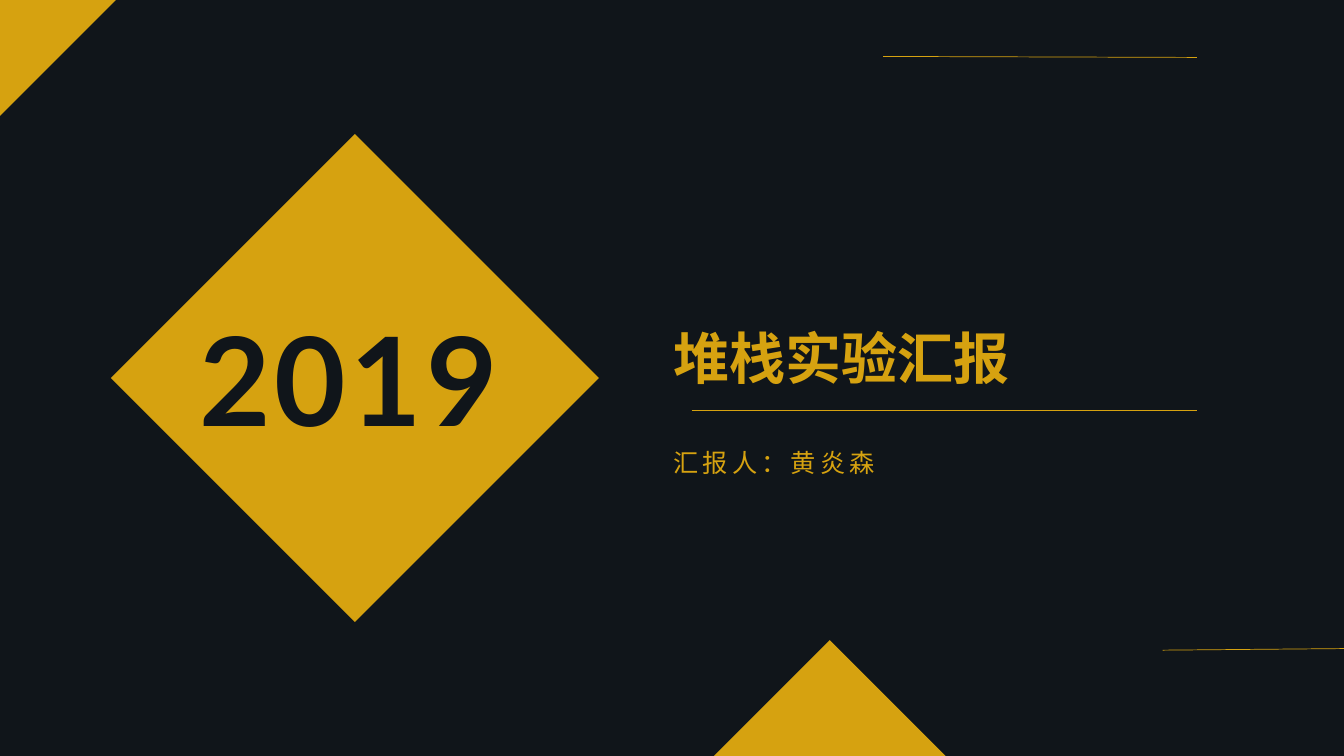
from dataclasses import dataclass

from lxml import etree
from pptx import Presentation
from pptx.dml.color import RGBColor
from pptx.enum import shapes, text
from pptx.oxml import ns
from pptx.util import Inches, Pt


@dataclass(frozen=True)
class Theme:
    gold: RGBColor = RGBColor.from_string("D6A210")
    night: RGBColor = RGBColor.from_string("10151A")
    year_size: int = 88
    title_size: int = 40
    presenter_size: int = 18
    rule_width: float = 0.5


theme = Theme()


def place(box, left, top, width, height):
    box.left, box.top = Inches(left), Inches(top)
    box.width, box.height = Inches(width), Inches(height)


def write(box, words, font, size, color, bold=False, spacing=0, leading=1.0):
    frame = box.text_frame
    frame.word_wrap = True
    frame.auto_size = text.MSO_AUTO_SIZE.NONE
    frame.vertical_anchor = text.MSO_ANCHOR.TOP
    para = frame.paragraphs[0]
    para.alignment = text.PP_ALIGN.LEFT
    para.line_spacing = leading
    para.space_before = Pt(0)
    span = para.add_run()
    span.text = words
    para.font.name = span.font.name = font
    para.font.size = span.font.size = Pt(size)
    para.font.bold = span.font.bold = bold
    span.font.color.rgb = color
    if spacing:
        span.font._element.set("spc", str(spacing * 100))


deck = Presentation()
deck.slide_width, deck.slide_height = Inches(13.33), Inches(7.5)
page = deck.slides.add_slide(deck.slide_layouts[5])
page.background.fill.solid()
page.background.fill.fore_color.rgb = theme.night

# Gold diamonds: centre and half diagonal
for center_x, center_y, reach in [(0, 0, 1.15), (8.23, 7.5, 1.15), (3.52, 3.75, 2.42)]:
    diamond = page.shapes.add_shape(
        shapes.MSO_SHAPE.DIAMOND,
        Inches(center_x - reach), Inches(center_y - reach),
        Inches(2 * reach), Inches(2 * reach))
    diamond.shadow.inherit = False
    diamond.fill.solid()
    diamond.fill.fore_color.rgb = theme.gold
    diamond.line.fill.background()

# Title
title = page.shapes.title
place(title, 6.58, 3.16, 6.11, 0.77)
write(title, "堆栈实验汇报", "Arial Narrow", theme.title_size, theme.gold, bold=True)

# Presenter
presenter = page.shapes.add_textbox(0, 0, 0, 0)
place(presenter, 6.58, 4.24, 6.53, 0.55)
write(presenter, "汇报人：黄炎森", "Calibri", theme.presenter_size, theme.gold,
      spacing=3, leading=1.5)

# Year on the large diamond
year = page.shapes.add_textbox(0, 0, 0, 0)
place(year, 1.88, 2.96, 3.3, 1.58)
write(year, "2019", "Lato", theme.year_size, theme.night, bold=True, spacing=3)

# Thin gold rules: start and end points
for ends in [(6.86, 4.07, 11.87, 4.07), (8.76, 0.56, 11.87, 0.57), (11.53, 6.45, 13.82, 6.43)]:
    rule = page.shapes.add_connector(
        shapes.MSO_CONNECTOR.STRAIGHT, *[Inches(value) for value in ends])
    rule.line.color.rgb = theme.gold
    rule.line.width = Pt(theme.rule_width)
    etree.SubElement(rule._element.spPr, ns.qn("a:effectLst"))

deck.save("out.pptx")
